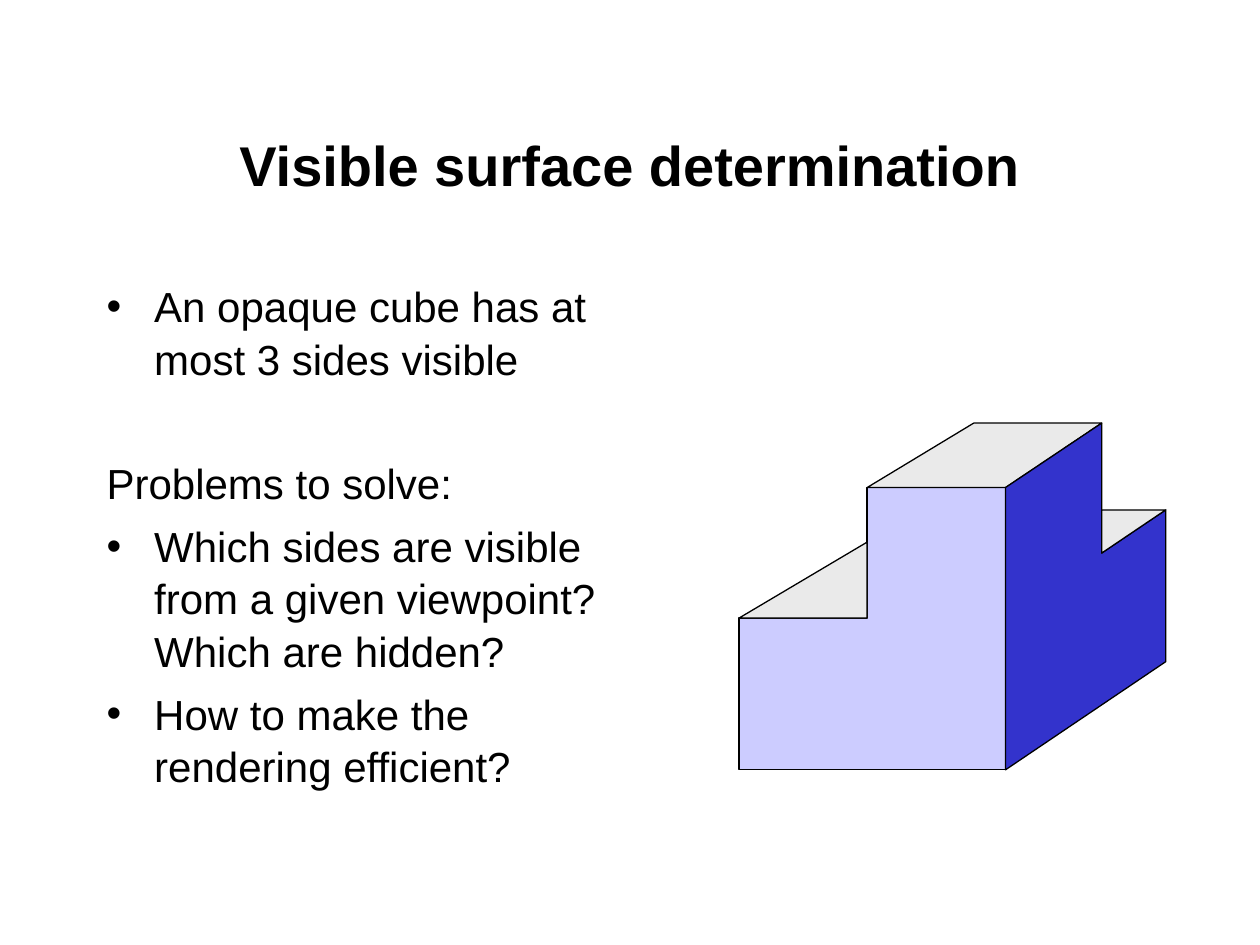
from lxml import etree
from pptx import Presentation
from pptx import util as u
from pptx.dml.color import RGBColor
from pptx.enum import text
from pptx.oxml import ns

COLOURS = {"ink": "000000", "front": "CCCCFF", "top": "EAEAEA", "side": "3333CC"}


def write(paragraph, content, size=24, bold=False, font="Arial", colour="ink",
          align=text.PP_ALIGN.LEFT, before=0, hanging=0, bullet=False):
    paragraph.alignment = align
    paragraph.space_before = u.Pt(before)
    paragraph.line_spacing = 1.04
    run = paragraph.add_run()
    run.text = content
    run.font.name, run.font.size, run.font.bold = font, u.Pt(size), bold
    run.font.color.rgb = RGBColor.from_string(COLOURS[colour])
    properties = paragraph._p.get_or_add_pPr()
    properties.set("marL", str(u.Cm(hanging)))
    properties.set("indent", str(-u.Cm(hanging)))
    if bullet:
        etree.SubElement(properties, ns.qn("a:buFont"), typeface=font)
        etree.SubElement(properties, ns.qn("a:buChar"), char="•")


class SlideBuilder:
    """Holds the style and the current slide, and adds elements to it."""

    def __init__(self, slide, line_width=0.75):
        self.slide = slide
        self.line_width = u.Pt(line_width)

    def text_box(self, left, top, width, height, paragraphs, anchor=text.MSO_ANCHOR.TOP):
        shape = self.slide.shapes.add_textbox(u.Cm(left), u.Cm(top), u.Cm(width), u.Cm(height))
        frame = shape.text_frame
        frame.word_wrap = True
        frame.vertical_anchor = anchor
        for index, (content, style) in enumerate(paragraphs):
            paragraph = frame.add_paragraph() if index else frame.paragraphs[0]
            write(paragraph, content, **style)

    def face(self, points, colour):
        corners = [(u.Cm(x), u.Cm(y)) for x, y in points]
        builder = self.slide.shapes.build_freeform(*corners[0])
        builder.add_line_segments(corners[1:], close=True)
        shape = builder.convert_to_shape()
        shape.shadow.inherit = False
        shape.fill.solid()
        shape.fill.fore_color.rgb = RGBColor.from_string(COLOURS[colour])
        shape.line.color.rgb = RGBColor.from_string(COLOURS["ink"])
        shape.line.width = self.line_width


def main():
    presentation = Presentation()
    presentation.slide_width, presentation.slide_height = u.Cm(25.4), u.Cm(19.05)
    slide = presentation.slides.add_slide(presentation.slide_layouts[6])
    builder = SlideBuilder(slide)

    title = {"size": 32, "bold": True, "align": text.PP_ALIGN.CENTER}
    builder.text_box(1.9, 1.7, 21.6, 3.18, [("Visible surface determination", title)],
                     anchor=text.MSO_ANCHOR.MIDDLE)

    item = {"before": 6, "hanging": 0.96, "bullet": True}
    heading = {"before": 41, "hanging": 0.96}
    builder.text_box(1.9, 5.5, 10.8, 11.8, [
        ("An opaque cube has at most 3 sides visible", item),
        ("Problems to solve:", heading),
        ("Which sides are visible from a given viewpoint? Which are hidden?", item),
        ("How to make the rendering efficient?", item),
    ])

    step_left, block_left = (14.9, 12.46), (17.48, 9.83)
    step_inner, block_right = (17.48, 12.46), (20.27, 9.83)
    base_left, base_right = (14.9, 15.52), (20.27, 15.52)
    block_back, notch = (22.21, 8.53), (22.21, 11.15)
    step_back, base_back = (23.5, 10.28), (23.5, 13.34)
    faces = [
        ("front", [step_left, step_inner, block_left, block_right, base_right, base_left]),
        ("top", [block_left, (19.63, 8.53), block_back, block_right]),
        ("side", [block_right, block_back, notch, step_back, base_back, base_right]),
        ("top", [step_left, (17.48, 10.93), step_inner]),
        ("top", [(22.21, 10.28), step_back, notch]),
    ]
    for colour, points in faces:
        builder.face(points, colour)

    presentation.save("out.pptx")


if __name__ == "__main__":
    main()
